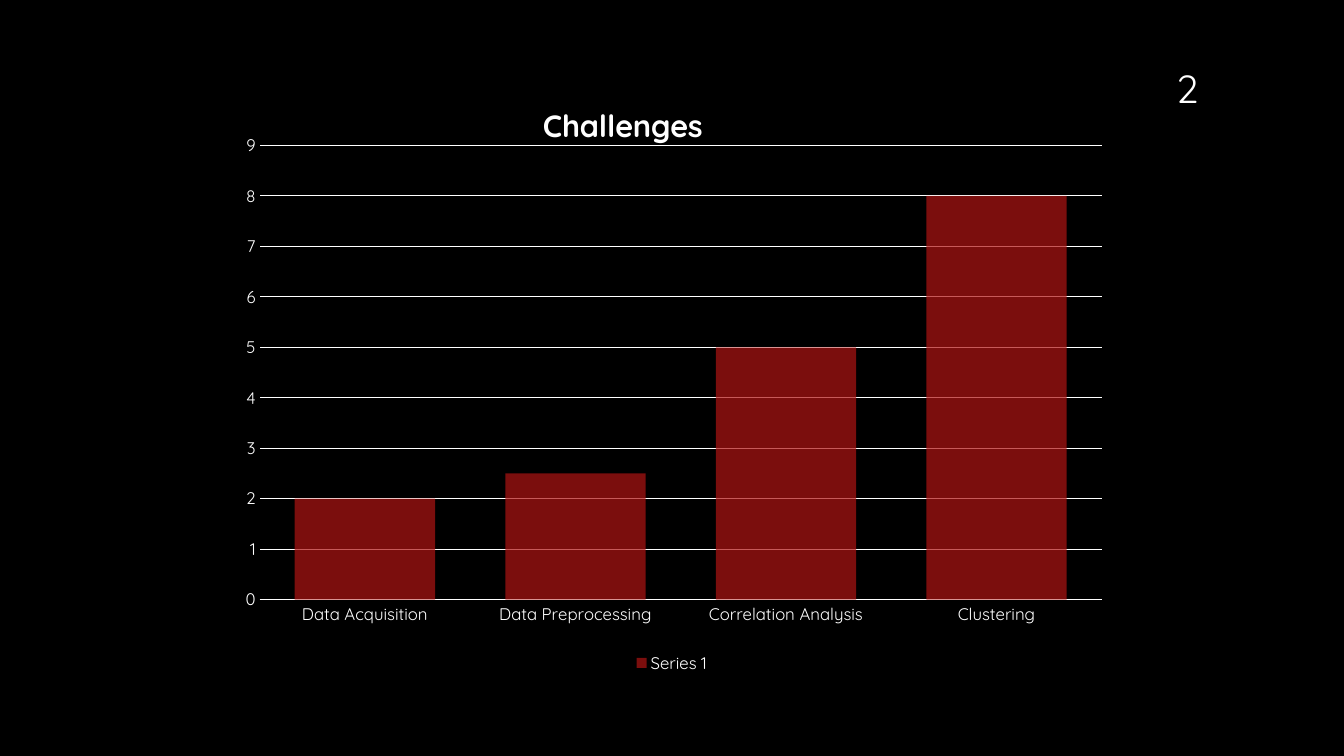
from lxml.etree import SubElement
from pptx import Presentation
from pptx.chart.data import CategoryChartData
from pptx.dml.color import RGBColor
from pptx.enum.chart import XL_CHART_TYPE, XL_LEGEND_POSITION, XL_TICK_MARK
from pptx.enum.text import MSO_ANCHOR, PP_ALIGN
from pptx.oxml import parse_xml
from pptx.oxml.ns import nsdecls, qn
from pptx.util import Cm, Pt

BLACK = RGBColor(0x00, 0x00, 0x00)
WHITE = RGBColor(0xFF, 0xFF, 0xFF)
RED = RGBColor(0xB0, 0x15, 0x13)
FACE = "Quicksand"


def style(font, size, bold=False):
    for key, value in {"name": FACE, "size": Pt(size), "bold": bold}.items():
        setattr(font, key, value)
    font.color.rgb = WHITE


def place(parent, **spots):
    """Return a manual chart layout, in fractions of the chart area."""
    tags = "".join(f'<c:{key} val="{value}"/>' for key, value in spots.items())
    return parse_xml(f'<c:layout {nsdecls("c")}><c:manualLayout>{tags}'
                     '</c:manualLayout></c:layout>')


deck = Presentation()
deck.slide_width, deck.slide_height = Cm(33.87), Cm(19.05)
slide = deck.slides.add_slide(deck.slide_layouts[6])
slide.background.fill.solid()
slide.background.fill.fore_color.rgb = BLACK

# Page number
box = slide.shapes.add_textbox(Cm(28.75), Cm(0.81), Cm(2.34), Cm(2.13))
frame = box.text_frame
frame.word_wrap = True
frame.vertical_anchor = MSO_ANCHOR.BOTTOM
page = frame.paragraphs[0]
page.text = "2"
page.alignment = PP_ALIGN.CENTER
style(page.runs[0].font, 28)

# Chart
data = CategoryChartData()
data.categories = ["Data Acquisition", "Data Preprocessing",
                   "Correlation Analysis", "Clustering"]
data.add_series("Series 1", [2, 2.5, 5, 8])
chart = slide.shapes.add_chart(XL_CHART_TYPE.COLUMN_STACKED, Cm(5.64), Cm(2.01),
                               Cm(22.58), Cm(15.06), data).chart
style(chart.font, 10)

# Chart title
chart.has_title = True
title = chart.chart_title
title.include_in_layout = False
heading = title.text_frame.paragraphs[0]
heading.text = "Challenges"
style(heading.runs[0].font, 22, True)
node = title.format.fill and chart.element.find(".//" + qn("c:title"))
for old in node.findall(qn("c:layout")):
    node.remove(old)
node.find(qn("c:tx")).addnext(
    place(node, xMode="edge", yMode="edge", x=0.35, y=0.03))

# Legend
chart.has_legend = True
chart.legend.position = XL_LEGEND_POSITION.BOTTOM
chart.legend.include_in_layout = False
style(chart.legend.font, 12)

# Axes
across, up = chart.category_axis, chart.value_axis
for axis in (across, up):
    axis.major_tick_mark = axis.minor_tick_mark = XL_TICK_MARK.NONE
    style(axis.tick_labels.font, 12)
up.minimum_scale, up.maximum_scale, up.major_unit = 0, 9, 1
up.has_major_gridlines = True
up.format.line.fill.background()
for line in (across.format.line, up.major_gridlines.format.line):
    line.color.rgb = WHITE
    line.width = Pt(0.75)

# Columns
plot = chart.plots[0]
plot.gap_width, plot.overlap, plot.vary_by_categories = 50, 100, False
fill = plot.series[0].format.fill
fill.solid()
fill.fore_color.rgb = RED
tint = plot.series[0].format.element if hasattr(plot.series[0].format, "element") \
    else chart.element.find(".//" + qn("c:ser"))
SubElement(tint.find(".//" + qn("a:srgbClr")), qn("a:alpha"), val="70000")

# Plot area
area = chart.element.find(".//" + qn("c:plotArea"))
for old in area.findall(qn("c:layout")):
    area.remove(old)
area.insert(0, place(area, layoutTarget="inner", xMode="edge", yMode="edge",
                     x=0.04, y=0.11, w=0.94, h=0.76))

deck.save("out.pptx")
